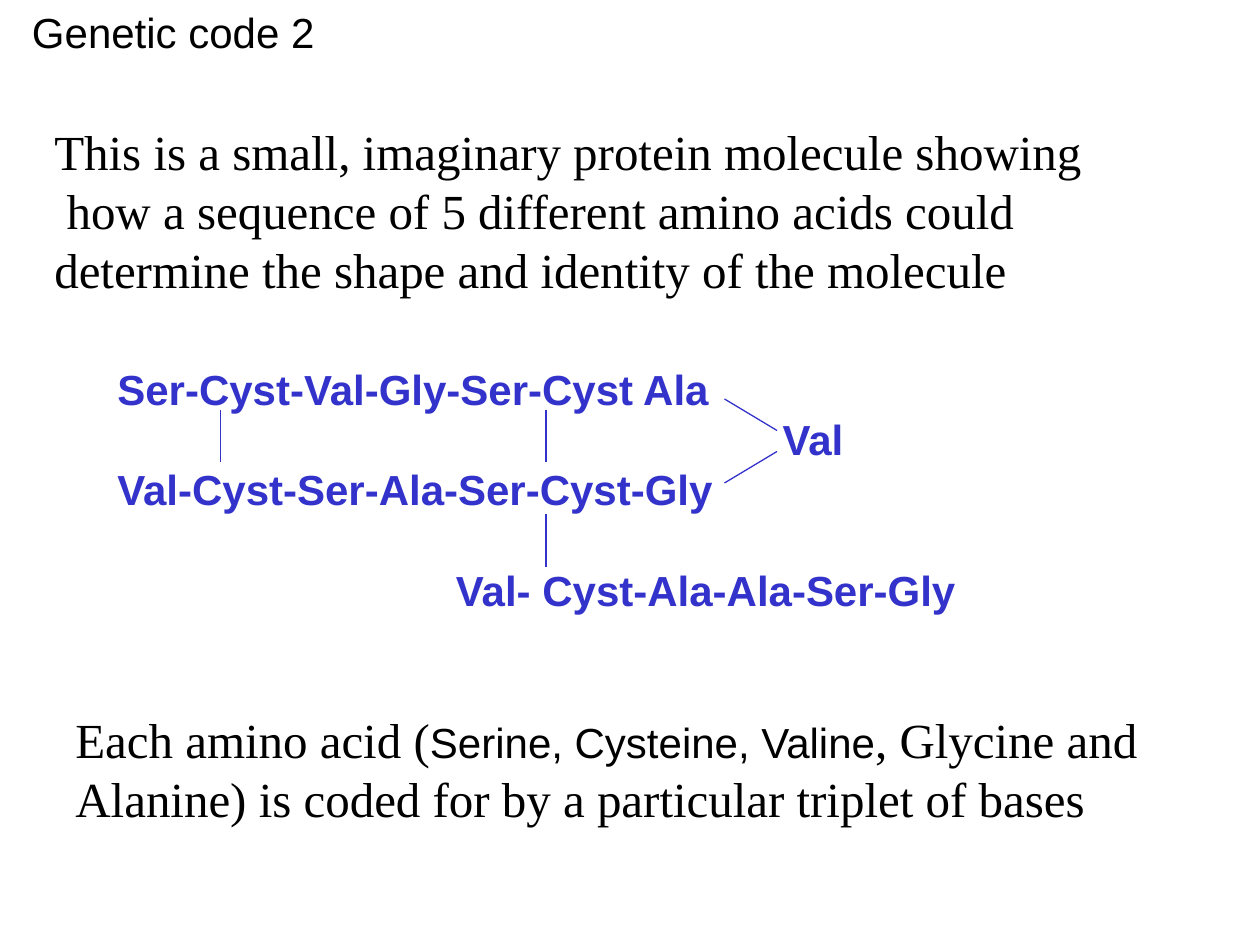
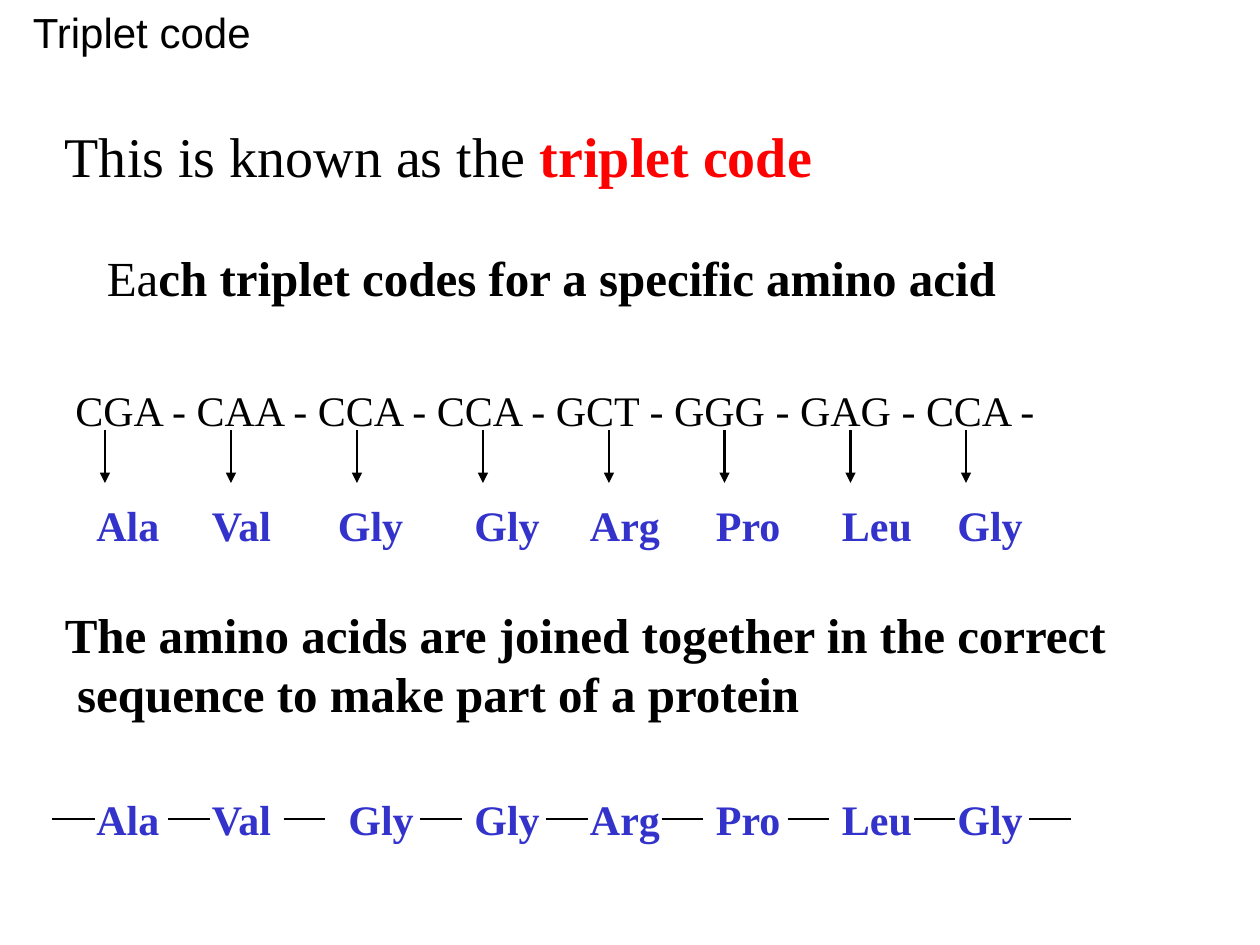
"""Builds two slides on the genetic code and the triplet code."""
from typing import NamedTuple

from pptx import Presentation
from pptx.dml.color import RGBColor
from pptx.enum.shapes import MSO_CONNECTOR as Link
from pptx.enum.text import MSO_ANCHOR as Anchor, MSO_AUTO_SIZE as Fit, PP_ALIGN as Align
from pptx.oxml.ns import qn
from pptx.util import Inches, Pt
from lxml.etree import SubElement

BLACK = RGBColor(0x00, 0x00, 0x00)
BLUE = RGBColor(0x33, 0x33, 0xCC)
RED = RGBColor(0xFF, 0x00, 0x00)
SERIF, SANS = "Times New Roman", "Arial"
WIDE, HIGH = Inches(10), Inches(7.5)
COL, ROW = WIDE / 120, HIGH / 90


class Style(NamedTuple):
    size: int = 28
    color: RGBColor = BLACK
    bold: bool = False
    face: str = SERIF


class Span(NamedTuple):
    text: str
    style: Style = Style()


class Line(NamedTuple):
    spans: list[Span]
    indent: float = 0
    gap: float = 0


class Block(NamedTuple):
    col: float
    row: float
    cols: float
    rows: float
    lines: list[Line]
    wrap: bool = False


class Bond(NamedTuple):
    col: float
    row: float
    end_col: float
    end_row: float
    color: RGBColor = BLACK
    width: float = 1.5
    arrow: bool = False


HEAD = Style(24, face=SANS)
BOLD = Style(bold=True)
CHAIN = Style(24, BLUE, True, SANS)
ACID = Style(24, BLUE, True)

INTRO = Block(4, 11, 107, 18, [
    Line([Span("This is a small, imaginary protein molecule showing")]),
    Line([Span(" how a sequence of 5 different amino acids could "
               "determine the shape and identity of the molecule")]),
], wrap=True)
CHAINS = Block(10, 34, 89, 25, [
    Line([Span("Ser-Cyst-Val-Gly-Ser-Cyst Ala", CHAIN)]),
    Line([Span("Val", CHAIN)], indent=63.35),
    Line([Span("Val-Cyst-Ser-Ala-Ser-Cyst-Gly", CHAIN)]),
    Line([Span("Val- Cyst-Ala-Ala-Ser-Gly", CHAIN)], indent=32.25, gap=28.8),
], wrap=True)
CODING = Block(6, 67, 105, 12.4, [
    Line([Span("Each amino acid ("), Span("Serine, Cysteine, Valine", HEAD),
          Span(", Glycine and")]),
    Line([Span("Alanine) is coded for by a particular triplet of bases")]),
])
LINKS = [(21, 39, 21, 44), (52, 39, 52, 44), (52, 49, 52, 54),
         (69, 38, 74, 41), (69, 46, 74, 43)]

KNOWN = Block(5, 11, 78, 7.7, [Line([
    Span("This is known as the ", Style(32)), Span("triplet code", Style(32, RED, True))])])
EACH = Block(9, 23, 95, 6.9, [Line([
    Span("Ea"), Span("ch triplet codes for a specific amino acid", BOLD)])])
CODONS = Block(6, 36, 96, 6, [Line([
    Span("CGA - CAA - CCA - CCA - GCT - GGG - GAG - CCA -", Style(24))])])
JOINED = Block(5, 57, 113.5, 12.5, [
    Line([Span("The amino acids are joined together in the correct", BOLD)]),
    Line([Span(" sequence to make part of a protein", BOLD)]),
])
ACIDS = ["Ala", "Val", "Gly", "Gly", "Arg", "Pro", "Leu", "Gly"]
DROPS = [10, 22, 34, 46, 58, 69, 81, 92]
CODED = [8, 19, 31, 44, 55, 67, 79, 90]
STRUNG = [8, 19, 32, 44, 55, 67, 79, 90]
DASHES = [5, 16, 27, 40, 52, 63, 75, 87, 98]


def across(cols: float) -> int:
    """Turn grid columns into a length."""
    return round(cols * COL)


def down(rows: float) -> int:
    """Turn grid rows into a length."""
    return round(rows * ROW)


def paint(run, style: Style) -> None:
    """Give a run its font."""
    font = run.font
    font.name, font.size, font.bold = style.face, Pt(style.size), style.bold
    font.color.rgb = style.color


def write(slide, block: Block) -> None:
    """Add a text box with its styled lines."""
    box = slide.shapes.add_textbox(across(block.col), down(block.row),
                                   across(block.cols), down(block.rows))
    frame = box.text_frame
    frame.word_wrap = block.wrap
    frame.auto_size = Fit.SHAPE_TO_FIT_TEXT
    for i, line in enumerate(block.lines):
        para = frame.add_paragraph() if i else frame.paragraphs[0]
        if line.indent:
            para._p.get_or_add_pPr().set("marL", str(across(line.indent)))
        if line.gap:
            para.space_before = Pt(line.gap)
        for span in line.spans:
            run = para.add_run()
            run.text = span.text
            paint(run, span.style)


def join(slide, bond: Bond) -> None:
    """Draw a straight line, with an arrowhead if asked."""
    wire = slide.shapes.add_connector(Link.STRAIGHT, across(bond.col), down(bond.row),
                                      across(bond.end_col), down(bond.end_row))
    wire.line.color.rgb = bond.color
    wire.line.width = Pt(bond.width)
    if bond.arrow:
        SubElement(wire.line._get_or_add_ln(), qn("a:tailEnd"), type="triangle")
    SubElement(wire._element.spPr, qn("a:effectLst"))


def label(slide, cols: list[int], row: float) -> None:
    """Write the row of amino acids at the given columns."""
    for col, name in zip(cols, ACIDS):
        write(slide, Block(col, row, 10, 6, [Line([Span(name, ACID)])]))


def start(deck, text: str, cols: float):
    """Add a slide with its title in the top left corner."""
    slide = deck.slides.add_slide(deck.slide_layouts[5])
    title = slide.shapes.title
    title.left, title.top, title.width, title.height = 0, 0, across(cols), down(6)
    frame = title.text_frame
    frame.text = text
    frame.word_wrap = True
    frame.auto_size = Fit.NONE
    frame.vertical_anchor = Anchor.MIDDLE
    para = frame.paragraphs[0]
    para.alignment = Align.CENTER
    paint(para.runs[0], HEAD)
    return slide


def protein(deck) -> None:
    """Build the slide with the imaginary protein."""
    slide = start(deck, "Genetic code 2", 33)
    for block in (CHAINS, INTRO, CODING):
        write(slide, block)
    for ends in LINKS:
        join(slide, Bond(*ends, color=BLUE, width=0.75))


def triplet(deck) -> None:
    """Build the slide that maps triplets to amino acids."""
    slide = start(deck, "Triplet code", 27)
    for block in (KNOWN, EACH, CODONS, JOINED):
        write(slide, block)
    for col in DROPS:
        join(slide, Bond(col, 41, col, 46, arrow=True))
    label(slide, CODED, 47)
    label(slide, STRUNG, 75)
    for col in DASHES:
        join(slide, Bond(col, 78, col + 4, 78))


def main() -> None:
    """Build and save the deck."""
    deck = Presentation()
    deck.slide_width, deck.slide_height = WIDE, HIGH
    protein(deck)
    triplet(deck)
    deck.save("out.pptx")


if __name__ == "__main__":
    main()
